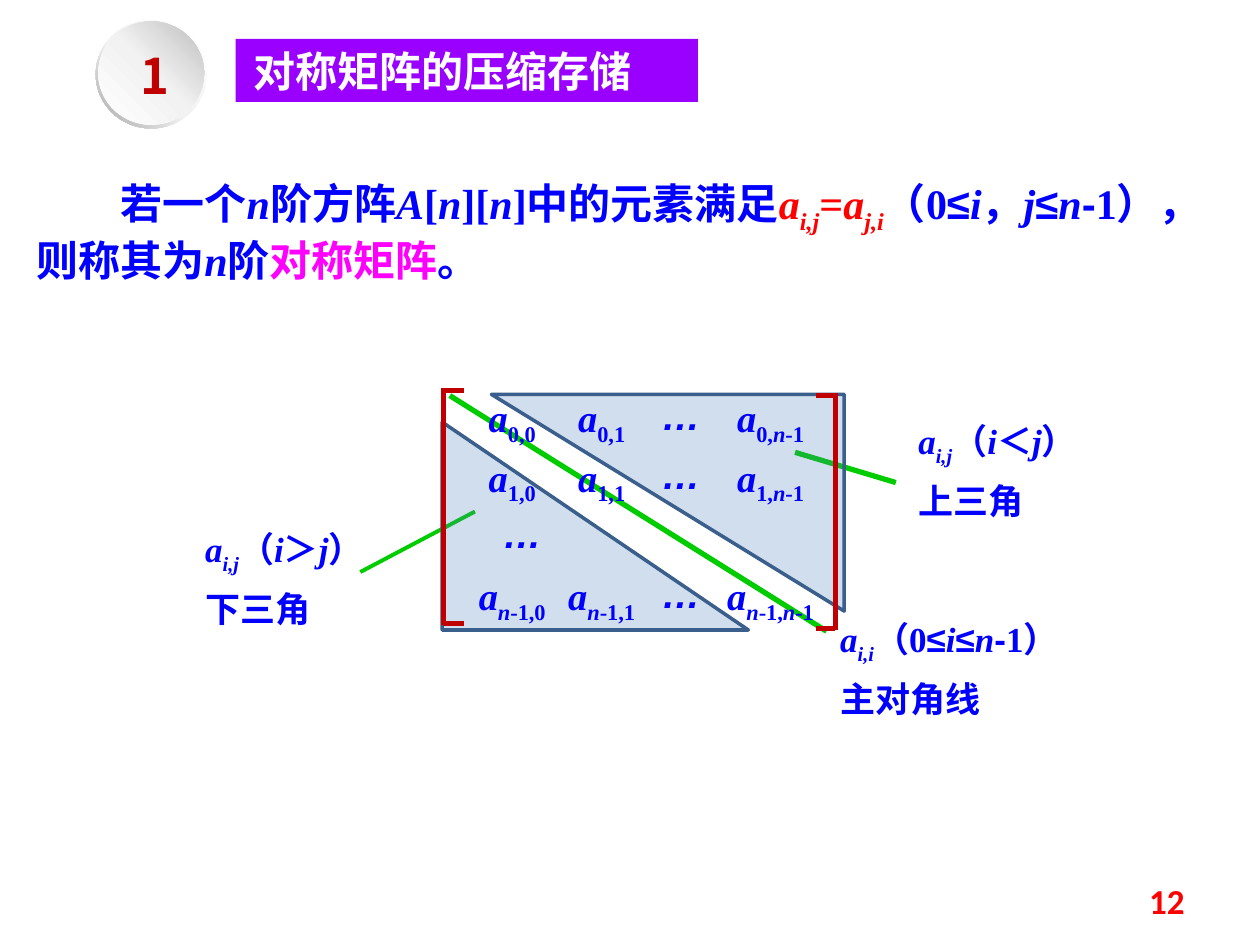
from dataclasses import dataclass

from lxml import etree
from pptx import Presentation
from pptx import util as u
from pptx.dml.color import RGBColor
from pptx.enum import shapes, text
from pptx.oxml.ns import qn


@dataclass(frozen=True)
class Theme:
    blue: str = "0000FF"
    red: str = "FF0000"
    magenta: str = "FF00FF"
    white: str = "FFFFFF"
    purple: str = "9900FF"
    dark_red: str = "C00000"
    green: str = "00CC00"
    triangle_fill: str = "4F81BD"
    triangle_edge: str = "3A5F8C"
    serif: str = "Times New Roman"
    sans: str = "Arial"
    cjk: str = "Noto Sans CJK SC"
    number_font: str = "Calibri"
    body: int = 24
    label: int = 20
    entry: int = 22
    badge: int = 28


THEME = Theme()

# Style letters used in the text spans
STYLES = {
    "i": {"italic": True},
    "s": {"subscript": True},
    "a": {"name": THEME.sans},
    "r": {"color": THEME.red},
    "m": {"color": THEME.magenta},
}
LEFT, CENTER, RIGHT = (text.PP_ALIGN.LEFT, text.PP_ALIGN.CENTER,
                       text.PP_ALIGN.RIGHT)


def rgb(value):
    return RGBColor.from_string(value)


def add_span(para, words, letters, base):
    values = dict(base)
    for letter in letters:
        values.update(STYLES[letter])
    color = values.pop("color")
    subscript = values.pop("subscript", False)
    span = para.add_run()
    span.text = words
    for name, value in values.items():
        setattr(span.font, name, value)
    span.font.color.rgb = rgb(color)
    props = span.font._element
    if subscript:
        props.set("baseline", "-25000")
    etree.SubElement(props, qn("a:ea")).set("typeface", THEME.cjk)


def fill_text(frame, paras, size, color=THEME.blue, font=THEME.serif,
              align=LEFT, gap=0):
    base = {"name": font, "size": u.Pt(size), "bold": True, "color": color}
    frame.word_wrap = True
    for index, spans in enumerate(paras):
        para = frame.add_paragraph() if index else frame.paragraphs[0]
        para.alignment = align
        if index:
            para.space_before = u.Pt(gap)
        for words, letters in spans:
            add_span(para, words, letters, base)


def add_text(page, at, paras, size, inset=True, **options):
    box = page.shapes.add_textbox(*map(u.Inches, at))
    frame = box.text_frame
    if not inset:
        for side in ("left", "top", "right", "bottom"):
            setattr(frame, f"margin_{side}", 0)
    fill_text(frame, paras, size, **options)
    return box


def add_line(page, start, end, color, width=3):
    line = page.shapes.add_connector(
        shapes.MSO_CONNECTOR.STRAIGHT, *map(u.Inches, (*start, *end)))
    line.line.color.rgb = rgb(color)
    line.line.width = u.Pt(width)
    etree.SubElement(line._element.spPr, qn("a:effectLst"))


def add_shape(page, kind, at, color=None):
    shape = page.shapes.add_shape(kind, *map(u.Inches, at))
    shape.shadow.inherit = False
    shape.line.fill.background()
    if color:
        shape.fill.solid()
        shape.fill.fore_color.rgb = rgb(color)
    return shape


def add_triangle(page, at, rotation=0):
    shape = add_shape(page, shapes.MSO_SHAPE.RIGHT_TRIANGLE, at,
                      THEME.triangle_fill)
    shape.rotation = rotation
    shape.line.color.rgb = rgb(THEME.triangle_edge)
    shape.line.width = u.Pt(2)
    color = shape._element.spPr.find(qn("a:solidFill")).find(qn("a:srgbClr"))
    etree.SubElement(color, qn("a:alpha")).set("val", "26000")


def set_gradient(shape, stops, angle):
    shape.fill.gradient()
    gradient = shape._element.spPr.find(qn("a:gradFill"))
    for child in list(gradient):
        gradient.remove(child)
    stop_list = etree.SubElement(gradient, qn("a:gsLst"))
    for position, color in stops:
        stop = etree.SubElement(stop_list, qn("a:gs"), pos=str(position * 1000))
        etree.SubElement(stop, qn("a:srgbClr"), val=color)
    etree.SubElement(gradient, qn("a:lin"), ang=str(angle * 60000), scaled="0")


def add_label(page, at, first_line, name):
    add_text(page, at, [first_line, [(name, "")]], THEME.label, gap=7)


def add_heading(page):
    bar = add_shape(page, shapes.MSO_SHAPE.RECTANGLE, (1.87, 0.31, 3.67, 0.5),
                    THEME.purple)
    bar.text_frame.margin_left = u.Inches(0.14)
    fill_text(bar.text_frame, [[("对称矩阵的压缩存储", "")]], THEME.body,
              color=THEME.white, font=THEME.cjk)


def add_badge(page):
    ring = add_shape(page, shapes.MSO_SHAPE.DONUT, (0.76, 0.16, 0.88, 0.86))
    ring.adjustments[0] = 0.05
    set_gradient(ring, [(0, "FFFFFF"), (55, "F2F2F2"), (100, "A6A6A6")], 135)
    disc = add_shape(page, shapes.MSO_SHAPE.OVAL, (0.78, 0.17, 0.84, 0.82))
    set_gradient(disc, [(0, "FFFFFF"), (51, "F2F2F2"), (100, "BFBFBF")], 315)
    add_text(page, (1, 0.36, 0.46, 0.43), [[("1", "")]], THEME.badge,
             inset=False, color=THEME.dark_red, font=THEME.cjk, align=CENTER)


def add_definition(page):
    spans = [
        ("若一个", ""), ("n", "i"), ("阶方阵", ""), ("A", "i"), ("[", ""),
        ("n", "i"), ("][", ""), ("n", "i"), ("]中的元素满足", ""),
        ("a", "ri"), ("i,j", "ris"), ("=", "r"), ("a", "ri"), ("j,i", "ris"),
        ("（0", ""), ("≤", "a"), ("i", "i"), ("，", ""), ("j", "i"),
        ("≤", "a"), ("n", "i"), ("-", "a"), ("1），则称其为", ""),
        ("n", "i"), ("阶", ""), ("对称矩阵", "m"), ("。", "")]
    box = add_text(page, (0.19, 1.36, 9.73, 0.91), [spans], THEME.body)
    para = box.text_frame.paragraphs[0]
    para._p.get_or_add_pPr().set("indent", str(u.Inches(0.67)))


def add_regions(page):
    # Main diagonal
    add_line(page, (3.57, 3.14), (6.56, 5.01), THEME.green)
    add_label(page, (6.57, 4.85, 2.44, 0.93),
              [("a", "i"), ("i,i", "is"), ("（0", ""), ("≤", "a"), ("i", "i"),
               ("≤", "a"), ("n", "i"), ("-", "a"), ("1）", "")], "主对角线")
    # Lower and upper triangles
    for at, sign, name in (((1.53, 4.14, 1.57, 0.93), "＞", "下三角"),
                           ((7.19, 3.28, 2.5, 0.93), "＜", "上三角")):
        add_label(page, at, [("a", "i"), ("i,j", "is"), ("（", ""), ("i", "i"),
                             (sign, ""), ("j", "i"), ("）", "")], name)
    add_line(page, (2.86, 4.54), (3.77, 4.06), THEME.green, 2.25)
    add_triangle(page, (3.51, 3.35, 2.43, 1.65))
    add_line(page, (6.31, 3.59), (7.11, 3.83), THEME.green)
    add_triangle(page, (3.9, 3.13, 2.8, 1.72), 180)


def add_bracket(page, x, tip, top, bottom):
    add_line(page, (x, top - 0.02), (x, bottom + 0.01), THEME.dark_red)
    for y in (top, bottom):
        add_line(page, (x, y), (tip, y), THEME.dark_red)


def add_matrix(page):
    add_bracket(page, 3.52, 3.68, 3.1, 4.95)
    add_bracket(page, 6.63, 6.48, 3.14, 4.99)
    top, pitch = 3.13, 0.47
    last = [("n", "is"), ("-1", "s")]
    indices = {0: [("0", "s")], 1: [("1", "s")], 3: last}
    columns = ((3.67, [("0", "s")]), (4.38, [("1", "s")]), (5.72, last))
    dots = [(5.09, row) for row in indices] + [(3.83, 2)]
    for row, row_index in indices.items():
        for x, column_index in columns:
            spans = [("a", "i"), *row_index, (",", "s"), *column_index]
            add_text(page, (x, top + row * pitch, 0.79, 0.37), [spans],
                     THEME.entry, inset=False, align=CENTER)
    for x, row in dots:
        add_text(page, (x, top - 0.02 + row * pitch, 0.63, 0.31),
                 [[("…", "ia")]], THEME.entry, inset=False, align=CENTER)


def add_page_number(page):
    box = add_text(page, (7.17, 6.95, 2.33, 0.4), [[("12", "")]], THEME.label,
                   color=THEME.red, font=THEME.number_font, align=RIGHT)
    box.text_frame.vertical_anchor = text.MSO_ANCHOR.MIDDLE


def main():
    deck = Presentation()
    deck.slide_width, deck.slide_height = u.Inches(10), u.Inches(7.5)
    page = deck.slides.add_slide(deck.slide_layouts[6])
    add_heading(page)
    add_definition(page)
    add_regions(page)
    add_matrix(page)
    add_page_number(page)
    add_badge(page)
    deck.save("out.pptx")


if __name__ == "__main__":
    main()
